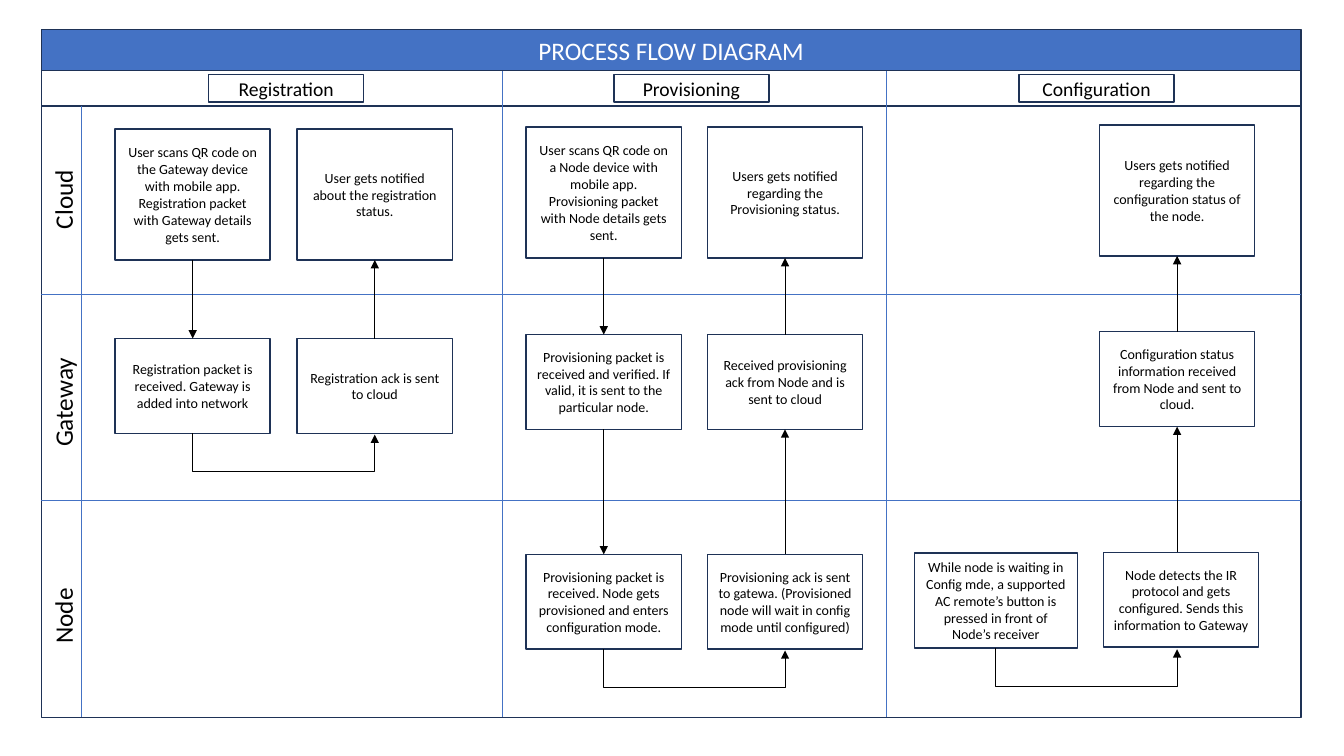
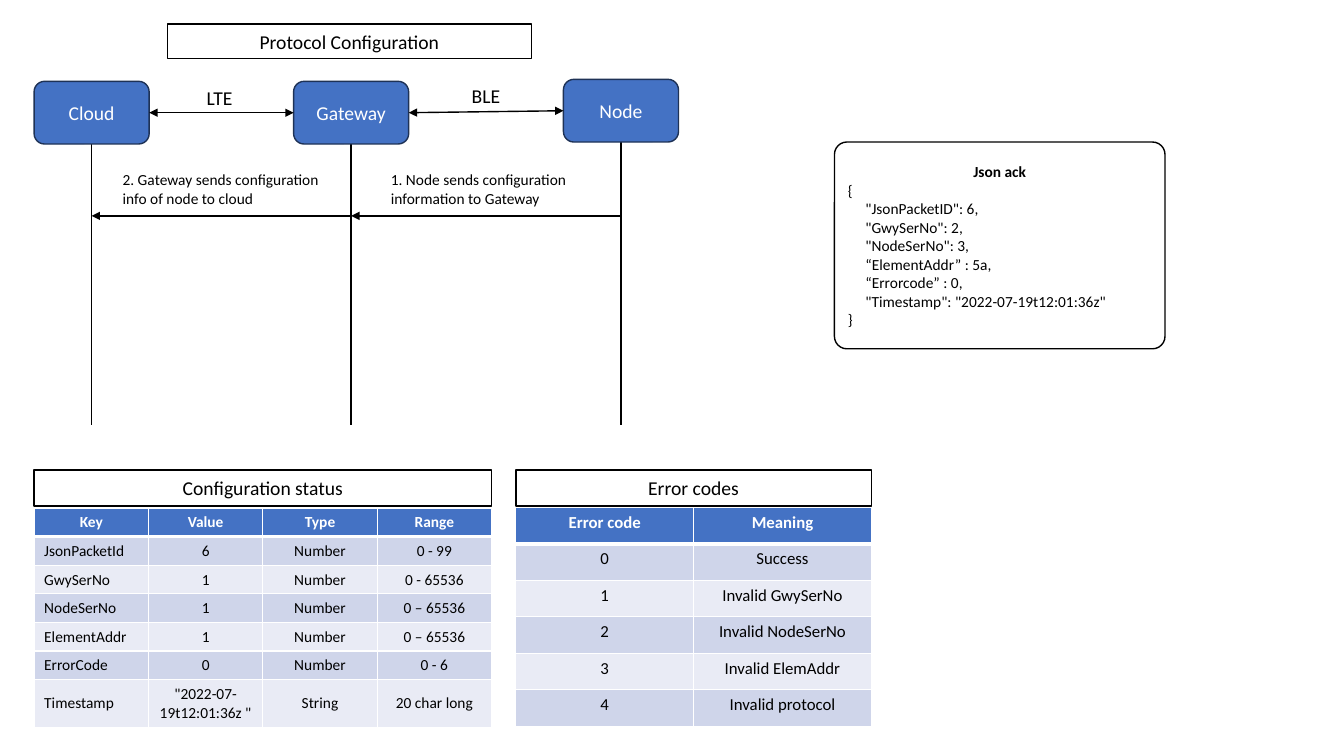
"""Build a two-slide deck: a process flow diagram and a protocol configuration."""
from dataclasses import dataclass

from lxml.etree import SubElement
from pptx import Presentation
from pptx.dml.color import RGBColor
from pptx.enum.shapes import MSO_CONNECTOR, MSO_SHAPE
from pptx.enum.text import MSO_ANCHOR, PP_ALIGN
from pptx.oxml.ns import qn
from pptx.util import Cm, Pt


@dataclass(frozen=True)
class Theme:
    font: str = "Calibri"
    blue: str = "4472C4"
    navy: str = "1E3256"
    black: str = "000000"
    white: str = "FFFFFF"
    band_dark: str = "CFD5EA"
    band_light: str = "E9EBF5"
    title: int = 18
    heading: int = 14
    table: int = 12
    body: int = 11
    step: int = 10


theme = Theme()


def add_box(slide, place, text="", size=theme.heading, fill=theme.white, line=theme.navy,
            color=theme.black, kind=MSO_SHAPE.RECTANGLE, align=PP_ALIGN.CENTER):
    """Add a filled shape, or a plain text box when kind is None."""
    place = [Cm(length) for length in place]
    if kind is None:
        shape = slide.shapes.add_textbox(*place)
    else:
        shape = slide.shapes.add_shape(kind, *place)
        shape.shadow.inherit = False
        shape.fill.solid()
        shape.fill.fore_color.rgb = RGBColor.from_string(fill)
        shape.line.color.rgb = RGBColor.from_string(line)
        shape.line.width = Pt(1)
        shape.text_frame.vertical_anchor = MSO_ANCHOR.MIDDLE
    shape.text_frame.word_wrap = True
    shape.text_frame.text = text
    for paragraph in shape.text_frame.paragraphs:
        paragraph.alignment = align
        for run in paragraph.runs:
            run.font.name = theme.font
            run.font.size = Pt(size)
            run.font.color.rgb = RGBColor.from_string(color)
    return shape


def add_line(slide, start, end, color=theme.black, width=1.0, arrows=(), kind=MSO_CONNECTOR.STRAIGHT):
    """Add a connector; arrows names the ends that carry a triangle."""
    connector = slide.shapes.add_connector(kind, *[Cm(length) for length in (*start, *end)])
    connector.line.color.rgb = RGBColor.from_string(color)
    connector.line.width = Pt(width)
    for arrow in arrows:
        SubElement(connector.line._get_or_add_ln(), qn(f"a:{arrow}"), type="triangle")
    SubElement(connector.element.spPr, qn("a:effectLst"))
    return connector


presentation = Presentation()
presentation.slide_width, presentation.slide_height = Cm(33.87), Cm(19.05)
blank_layout = presentation.slide_layouts[6]

flow_slide = presentation.slides.add_slide(blank_layout)
frame_left, frame_width, frame_top, frame_bottom = 1.04, 31.75, 2.67, 18.08
frame_right = frame_left + frame_width
add_box(flow_slide, (frame_left, 0.74, frame_width, 1.05), "PROCESS FLOW DIAGRAM",
        theme.title, theme.blue, color=theme.white)
add_box(flow_slide, (frame_left, frame_top, frame_width, frame_bottom - frame_top))
add_box(flow_slide, (frame_left, 1.77, frame_width, 0.9))

for y in (7.42, 12.62):
    add_line(flow_slide, (frame_left, y), (frame_right, y), theme.blue, 0.5)
for x, top in ((2.06, frame_top), (12.65, 1.79), (22.33, 1.79)):
    add_line(flow_slide, (x, top), (x, frame_bottom), theme.blue, 0.5)

for lane, center in (("Cloud", 5.03), ("Gateway", 10.14), ("Node", 15.52)):
    label = add_box(flow_slide, (-0.2, center - 0.51, 3.58, 1.02), lane, theme.title, kind=None)
    label.rotation = 270

step_width, step_height, cloud_height = 3.91, 2.39, 3.3
for index, phase in enumerate(("Registration", "Provisioning", "Configuration")):
    add_box(flow_slide, (5.26 + 10.21 * index, 1.88, step_width, 0.69), phase)

phases = [
    ([(2.9, 3.25, step_width, cloud_height,
       "User scans QR code on the Gateway device with mobile app. "
       "Registration packet with Gateway details gets sent."),
      (2.9, 8.53, step_width, step_height,
       "Registration packet is received. Gateway is added into network")],
     [(7.49, 3.25, step_width, cloud_height, "User gets notified about the registration status."),
      (7.49, 8.53, step_width, step_height, "Registration ack is sent to cloud")]),
    ([(13.26, 3.2, step_width, cloud_height,
       "User scans QR code on a Node device with mobile app. "
       "Provisioning packet with Node details gets sent."),
      (13.26, 8.43, step_width, step_height,
       "Provisioning packet is received and verified. If valid, it is sent to the particular node."),
      (13.26, 13.97, step_width, step_height,
       "Provisioning packet is received. Node gets provisioned and enters configuration mode.")],
     [(17.83, 3.2, step_width, cloud_height, "Users gets notified regarding the Provisioning status."),
      (17.83, 8.43, step_width, step_height, "Received provisioning ack from Node and is sent to cloud"),
      (17.83, 13.97, step_width, step_height,
       "Provisioning ack is sent to gatewa. (Provisioned node will wait in config mode until configured)")]),
    ([(23.04, 13.94, 4.11, step_height,
       "While node is waiting in Config mde, a supported AC remote’s button is pressed "
       "in front of Node’s receiver")],
     [(27.71, 3.15, step_width, cloud_height,
       "Users gets notified regarding the configuration status of the node."),
      (27.71, 8.36, step_width, step_height,
       "Configuration status information received from Node and sent to cloud."),
      (27.81, 13.92, step_width, step_height,
       "Node detects the IR protocol and gets configured. Sends this information to Gateway")]),
]
turn_drop, turn_offset = 0.96, 0.03
for phase in phases:
    centers = []
    for chain, arrow in zip(phase, ("tailEnd", "headEnd")):
        center = chain[0][0] + chain[0][2] / 2
        centers.append(center)
        for *place, text in chain:
            add_box(flow_slide, place, text, theme.step)
        for upper, lower in zip(chain, chain[1:]):
            add_line(flow_slide, (center, upper[1] + upper[3]), (center, lower[1]),
                     width=0.5, arrows=[arrow])
    start, end = centers
    bottom = phase[0][-1][1] + step_height
    middle_x, middle_y, span = (start + end) / 2, bottom + turn_offset / 2, end - start
    turn = add_line(flow_slide, (middle_x - turn_offset / 2, middle_y - span / 2),
                    (middle_x + turn_offset / 2, middle_y + span / 2),
                    width=0.5, arrows=["tailEnd"], kind=MSO_CONNECTOR.ELBOW)
    transform = turn.element.spPr.find(qn("a:xfrm"))
    transform.set("rot", "16200000")
    transform.set("flipH", "1")
    adjustments = turn.element.spPr.find(qn("a:prstGeom")).find(qn("a:avLst"))
    SubElement(adjustments, qn("a:gd"), name="adj1",
               fmla=f"val {round(turn_drop / turn_offset * 100000)}")

protocol_slide = presentation.slides.add_slide(blank_layout)
add_box(protocol_slide, (4.22, 0.61, 9.17, 0.86), "Protocol Configuration", line=theme.black)

actor_width, actor_height = 2.9, 1.58
actors = [("Cloud", 0.86, 2.05), ("Gateway", 7.4, 2.05), ("Node", 14.2, 2.0)]
for name, left, top in actors:
    center = left + actor_width / 2
    add_line(protocol_slide, (center, top + actor_height), (center, 10.72))
    add_box(protocol_slide, (left, top, actor_width, actor_height), name, fill=theme.blue,
            color=theme.white, kind=MSO_SHAPE.ROUNDED_RECTANGLE)

links = [
    ("LTE", 4.47, 2.03, "2. Gateway sends configuration info of node to cloud", 2.84),
    ("BLE", 11.18, 1.98, "1. Node sends configuration information to Gateway", 9.6),
]
message_y = 5.44
for sender, receiver, link in zip(actors[1:], actors, links):
    label, label_left, label_top, message, message_left = link
    add_line(protocol_slide, (receiver[1] + actor_width, receiver[2] + actor_height / 2),
             (sender[1], sender[2] + actor_height / 2), arrows=["headEnd", "tailEnd"])
    add_box(protocol_slide, (label_left, label_top, 2.13, 0.86), label, kind=None)
    add_line(protocol_slide, (sender[1] + actor_width / 2, message_y),
             (receiver[1] + actor_width / 2, message_y), arrows=["tailEnd"])
    add_box(protocol_slide, (message_left, 4.17, 5.82, 1.19), message, theme.body,
            kind=None, align=PP_ALIGN.LEFT)

json_text = """Json ack
{
     "JsonPacketID": 6,
     "GwySerNo": 2,
     "NodeSerNo": 3,
     “ElementAddr” : 5a,
     “Errorcode” : 0,
     "Timestamp": "2022-07-19t12:01:36z"
}"""
json_box = add_box(protocol_slide, (21.03, 3.58, 8.33, 5.21), json_text, theme.body, line=theme.black,
                   kind=MSO_SHAPE.ROUNDED_RECTANGLE, align=PP_ALIGN.LEFT)
json_box.adjustments[0] = 0.06
json_title = json_box.text_frame.paragraphs[0]
json_title.alignment = PP_ALIGN.CENTER
json_title.runs[0].font.bold = True

status_rows = [
    ("Key", "Value", "Type", "Range"),
    ("JsonPacketId", "6", "Number", "0 - 99"),
    ("GwySerNo", "1", "Number", "0 - 65536"),
    ("NodeSerNo", "1", "Number", "0 – 65536"),
    ("ElementAddr", "1", "Number", "0 – 65536"),
    ("ErrorCode", "0", "Number", "0 - 6"),
    ("Timestamp", "\"2022-07-19t12:01:36z \"", "String", "20 char long"),
]
error_rows = [
    ("Error code", "Meaning"),
    ("0", "Success"),
    ("1", "Invalid GwySerNo"),
    ("2", "Invalid NodeSerNo"),
    ("3", "Invalid ElemAddr"),
    ("4", "Invalid protocol"),
]
tables = [
    ("Configuration status", 0.86, 12.8, 11.53, status_rows, [0.72] * 6 + [1.2],
     theme.body, MSO_ANCHOR.MIDDLE, PP_ALIGN.LEFT),
    ("Error codes", 13.0, 12.78, 8.96, error_rows, [0.92] * 6,
     theme.table, MSO_ANCHOR.TOP, PP_ALIGN.CENTER),
]
for heading, left, top, width, rows, heights, size, anchor, key_align in tables:
    table = protocol_slide.shapes.add_table(len(rows), len(rows[0]), Cm(left), Cm(top),
                                            Cm(width), Cm(sum(heights))).table
    for column in table.columns:
        column.width = Cm(width / len(rows[0]))
    for row_index, values in enumerate(rows):
        table.rows[row_index].height = Cm(heights[row_index])
        is_header = row_index == 0
        band = theme.band_dark if row_index % 2 else theme.band_light
        for column_index, value in enumerate(values):
            cell = table.cell(row_index, column_index)
            for side in ("lnL", "lnR", "lnT", "lnB"):
                thick = (row_index, side) in ((0, "lnB"), (1, "lnT"))
                border = SubElement(cell._tc.get_or_add_tcPr(), qn(f"a:{side}"),
                                    w=str(Pt(3 if thick else 1)))
                SubElement(SubElement(border, qn("a:solidFill")), qn("a:srgbClr"), val=theme.white)
            cell.fill.solid()
            cell.fill.fore_color.rgb = RGBColor.from_string(theme.blue if is_header else band)
            cell.vertical_anchor = anchor
            cell.text_frame.text = value
            paragraph = cell.text_frame.paragraphs[0]
            is_key = column_index == 0 and not is_header
            paragraph.alignment = key_align if is_key else PP_ALIGN.CENTER
            font = paragraph.runs[0].font
            font.name, font.size, font.bold = theme.font, Pt(size), is_header
            font.color.rgb = RGBColor.from_string(theme.white if is_header else theme.black)
    add_box(protocol_slide, (left, 11.84, width, 0.91), heading, line=theme.black)

presentation.save("out.pptx")
